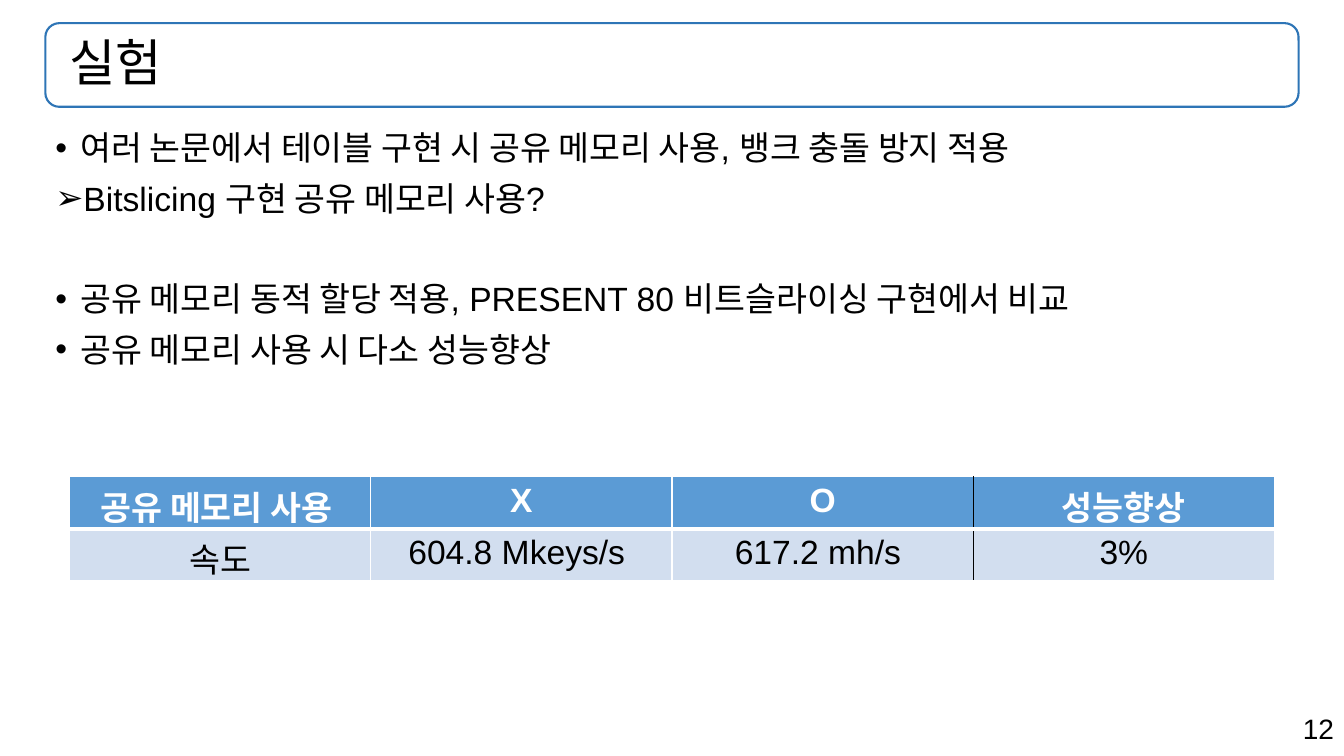
from lxml.etree import SubElement
from pptx import Presentation
from pptx.dml.color import RGBColor
from pptx.enum.shapes import MSO_SHAPE as Shape
from pptx.enum.text import MSO_ANCHOR as Anchor, PP_ALIGN as Align
from pptx.oxml.ns import qn
from pptx.util import Inches, Pt

BLACK, WHITE = "000000", "FFFFFF"
FRAME_BLUE, HEADER_BLUE, ROW_BLUE = "2E75B6", "5B9BD5", "D2DEEF"

# Bullet, text, space before in points
POINTS = [
    ("•", "여러 논문에서 테이블 구현 시 공유 메모리 사용, 뱅크 충돌 방지 적용", 0),
    ("➢", "Bitslicing 구현 공유 메모리 사용?", 10),
    ("•", "공유 메모리 동적 할당 적용, PRESENT 80 비트슬라이싱 구현에서 비교", 46),
    ("•", "공유 메모리 사용 시 다소 성능향상", 10),
]
RESULTS = [
    ["공유 메모리 사용 ", "X", "O", "성능향상"],
    ["속도", "604.8 Mkeys/s ", "617.2 mh/s ", "3%"],
]
GAIN_COLUMN = 3


def rgb(value):
    return RGBColor.from_string(value)


def style(paragraph, size, color=BLACK, bold=False, align=Align.LEFT):
    paragraph.alignment = align
    font = paragraph.font
    font.name, font.size, font.bold = "Arial", Pt(size), bold
    font.color.rgb = rgb(color)


def add_text_frame(slide, left, top, width, height):
    box = slide.shapes.add_textbox(
        Inches(left), Inches(top), Inches(width), Inches(height))
    box.text_frame.word_wrap = True
    return box.text_frame


def add_page_number(slide, number):
    frame = add_text_frame(slide, 9.43, 7.01, 3.9, 0.44)
    frame.text = number
    style(frame.paragraphs[0], 20, align=Align.RIGHT)


def add_title(slide, title):
    banner = slide.shapes.add_shape(
        Shape.ROUNDED_RECTANGLE,
        Inches(0.45), Inches(0.23), Inches(12.43), Inches(0.83))
    banner.shadow.inherit = False
    banner.fill.background()
    banner.line.color.rgb = rgb(FRAME_BLUE)
    banner.line.width = Pt(1.5)

    frame = add_text_frame(slide, 0.45, 0.23, 12.43, 0.83)
    frame.vertical_anchor = Anchor.MIDDLE
    frame.margin_left = Inches(0.24)
    frame.text = title
    frame.paragraphs[0].line_spacing = 0.9
    style(frame.paragraphs[0], 36)


def set_bullet(paragraph, mark):
    properties = paragraph._p.get_or_add_pPr()
    properties.set("marL", str(Inches(0.25)))
    properties.set("indent", str(-Inches(0.25)))
    SubElement(properties, qn("a:buFont"), typeface="Arial")
    SubElement(properties, qn("a:buChar"), char=mark)


def add_points(slide, points):
    frame = add_text_frame(slide, 0.45, 1.26, 12.43, 6.13)
    for index, (mark, text, gap) in enumerate(points):
        paragraph = frame.add_paragraph() if index else frame.paragraphs[0]
        paragraph.text = text
        set_bullet(paragraph, mark)
        paragraph.line_spacing = 0.9
        paragraph.space_before = Pt(gap)
        style(paragraph, 24)


def set_borders(cell, borders):
    """Draw (side, colour, points) borders; sides come in the order L, R, T, B."""
    properties = cell._tc.get_or_add_tcPr()
    for side, color, width in borders:
        line = SubElement(properties, qn(f"a:ln{side}"), w=str(Pt(width)))
        fill = SubElement(line, qn("a:solidFill"))
        SubElement(fill, qn("a:srgbClr"), val=color)


def add_results(slide, rows):
    table = slide.shapes.add_table(
        len(rows), len(rows[0]),
        Inches(0.69), Inches(4.73), Inches(11.95), Inches(1.03)).table
    table.horz_banding = False
    for r, row in enumerate(rows):
        header = r == 0
        for c, text in enumerate(row):
            cell = table.cell(r, c)
            cell.text = text
            style(cell.text_frame.paragraphs[0], 24,
                  WHITE if header else BLACK, header, Align.CENTER)
            set_borders(cell, [
                ("L", BLACK if c == GAIN_COLUMN else WHITE, 1),
                ("R", BLACK if c + 1 == GAIN_COLUMN else WHITE, 1),
                ("T", WHITE, 1 if header else 3),
                ("B", WHITE, 3 if header else 1),
            ])
            cell.fill.solid()
            cell.fill.fore_color.rgb = rgb(HEADER_BLUE if header else ROW_BLUE)


def main():
    deck = Presentation()
    deck.slide_width, deck.slide_height = Inches(13.33), Inches(7.5)
    slide = deck.slides.add_slide(deck.slide_layouts[6])
    add_page_number(slide, "12")
    add_title(slide, "실험")
    add_points(slide, POINTS)
    add_results(slide, RESULTS)
    deck.save("out.pptx")


if __name__ == "__main__":
    main()
